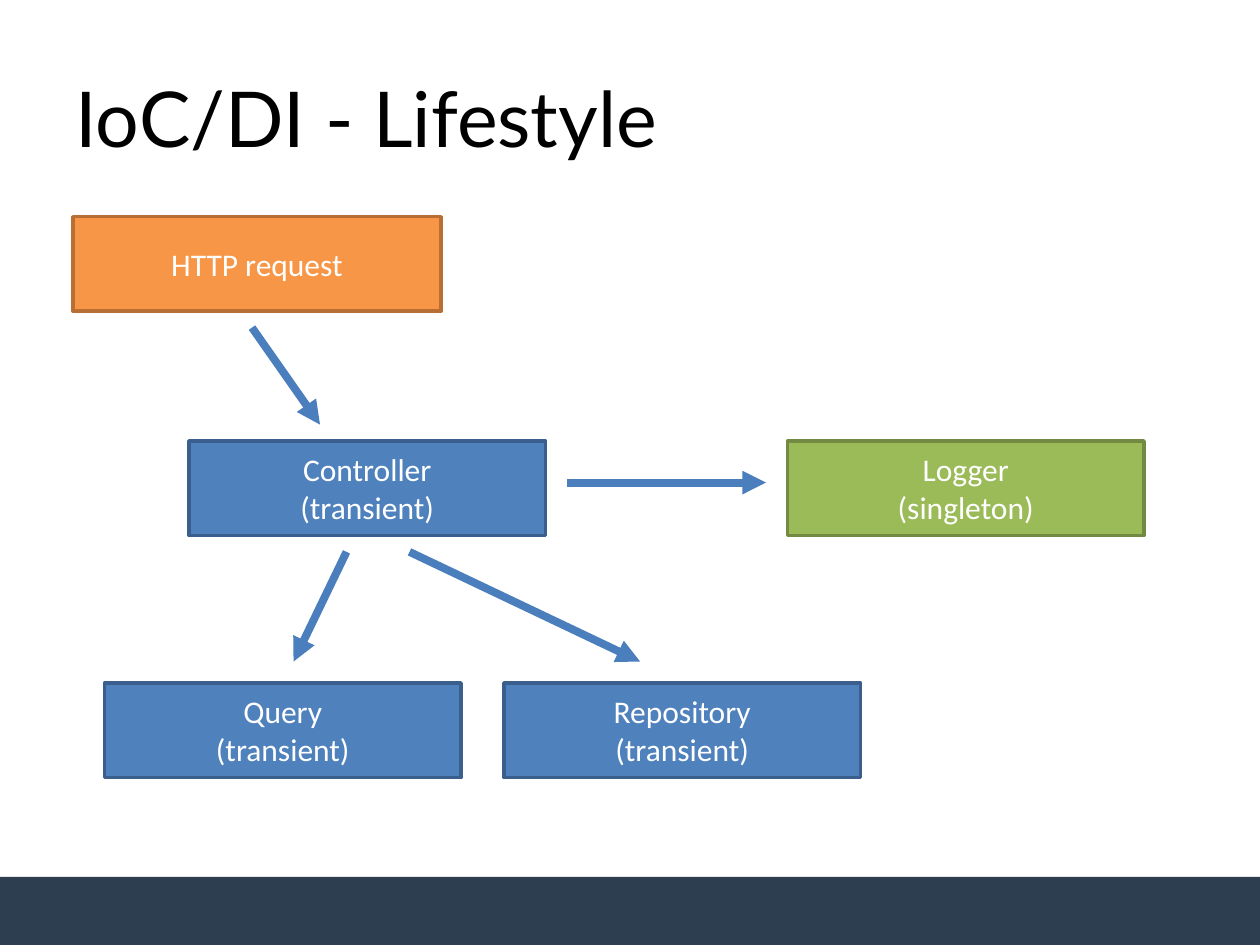
from dataclasses import dataclass

from lxml.etree import SubElement
from pptx import Presentation
from pptx.dml.color import RGBColor as Rgb
from pptx.enum.shapes import MSO_CONNECTOR as Link, MSO_SHAPE as Kind
from pptx.enum.text import MSO_ANCHOR as Anchor, PP_ALIGN as Align
from pptx.oxml.ns import qn
from pptx.util import Inches, Pt


@dataclass(frozen=True)
class Theme:
    head_font: str = "Lato"
    body_font: str = "Calibri"
    head_size: float = 44
    body_size: float = 18
    edge: float = 2
    stroke: float = 4.5
    ink: str = "000000"
    paper: str = "FFFFFF"
    band: str = "2C3E50"
    arrow: str = "4B7EBC"
    # Fill and outline of each box role
    request: tuple = ("F79646", "B76F34")
    transient: tuple = ("4F81BD", "3A5F8C")
    single: tuple = ("9BBB59", "738A42")


class Deck:
    def __init__(self, theme, slide):
        self.theme = theme
        self.slide = slide

    def style(self, frame, align, font, size, color):
        frame.word_wrap = True
        frame.vertical_anchor = Anchor.MIDDLE
        for para in frame.paragraphs:
            para.alignment = align
            for run in para.runs:
                run.font.name = font
                run.font.size = Pt(size)
                run.font.color.rgb = Rgb.from_string(color)

    def title(self, text, x, y, w, h):
        look = self.theme
        shape = self.slide.shapes.title
        shape.left, shape.top = Inches(x), Inches(y)
        shape.width, shape.height = Inches(w), Inches(h)
        shape.text_frame.text = text
        self.style(shape.text_frame, Align.LEFT,
                   look.head_font, look.head_size, look.ink)

    def rect(self, x, y, w, h, fill):
        shape = self.slide.shapes.add_shape(
            Kind.RECTANGLE, Inches(x), Inches(y), Inches(w), Inches(h))
        shape.shadow.inherit = False
        shape.fill.solid()
        shape.fill.fore_color.rgb = Rgb.from_string(fill)
        shape.line.fill.background()
        return shape

    def box(self, text, x, y, role, w=2.83, h=0.75):
        look = self.theme
        fill, edge = role
        shape = self.rect(x, y, w, h, fill)
        shape.line.color.rgb = Rgb.from_string(edge)
        shape.line.width = Pt(look.edge)
        shape.text_frame.text = text
        self.style(shape.text_frame, Align.CENTER,
                   look.body_font, look.body_size, look.paper)

    def arrow(self, start, end):
        line = self.slide.shapes.add_connector(
            Link.STRAIGHT, *map(Inches, start + end))
        line.line.color.rgb = Rgb.from_string(self.theme.arrow)
        line.line.width = Pt(self.theme.stroke)
        SubElement(line.line._get_or_add_ln(), qn("a:tailEnd"), type="triangle")
        SubElement(line._element.spPr, qn("a:effectLst"))


def main():
    show = Presentation()
    show.slide_width, show.slide_height = Inches(10), Inches(7.5)
    look = Theme()
    deck = Deck(look, show.slides.add_slide(show.slide_layouts[5]))

    deck.rect(0, 6.96, 10, 0.54, look.band)
    deck.title("IoC/DI - Lifestyle", 0.5, 0.3, 9, 1.25)

    mid, low = 3.5, 5.42
    deck.box("HTTP request", 0.58, 1.72, look.request, w=2.92)
    deck.box("Controller\v(transient)", 1.5, mid, look.transient)
    deck.box("Logger\v(singleton)", 6.25, mid, look.single)
    deck.box("Query\v(transient)", 0.83, low, look.transient)
    deck.box("Repository\v(transient)", 4, low, look.transient)

    for start, end in (
        ((2, 2.6), (2.54, 3.37)),
        ((4.5, 3.83), (6.08, 3.83)),
        ((2.75, 4.38), (2.33, 5.25)),
        ((3.25, 4.38), (5.08, 5.25)),
    ):
        deck.arrow(start, end)

    show.save("out.pptx")


if __name__ == "__main__":
    main()
